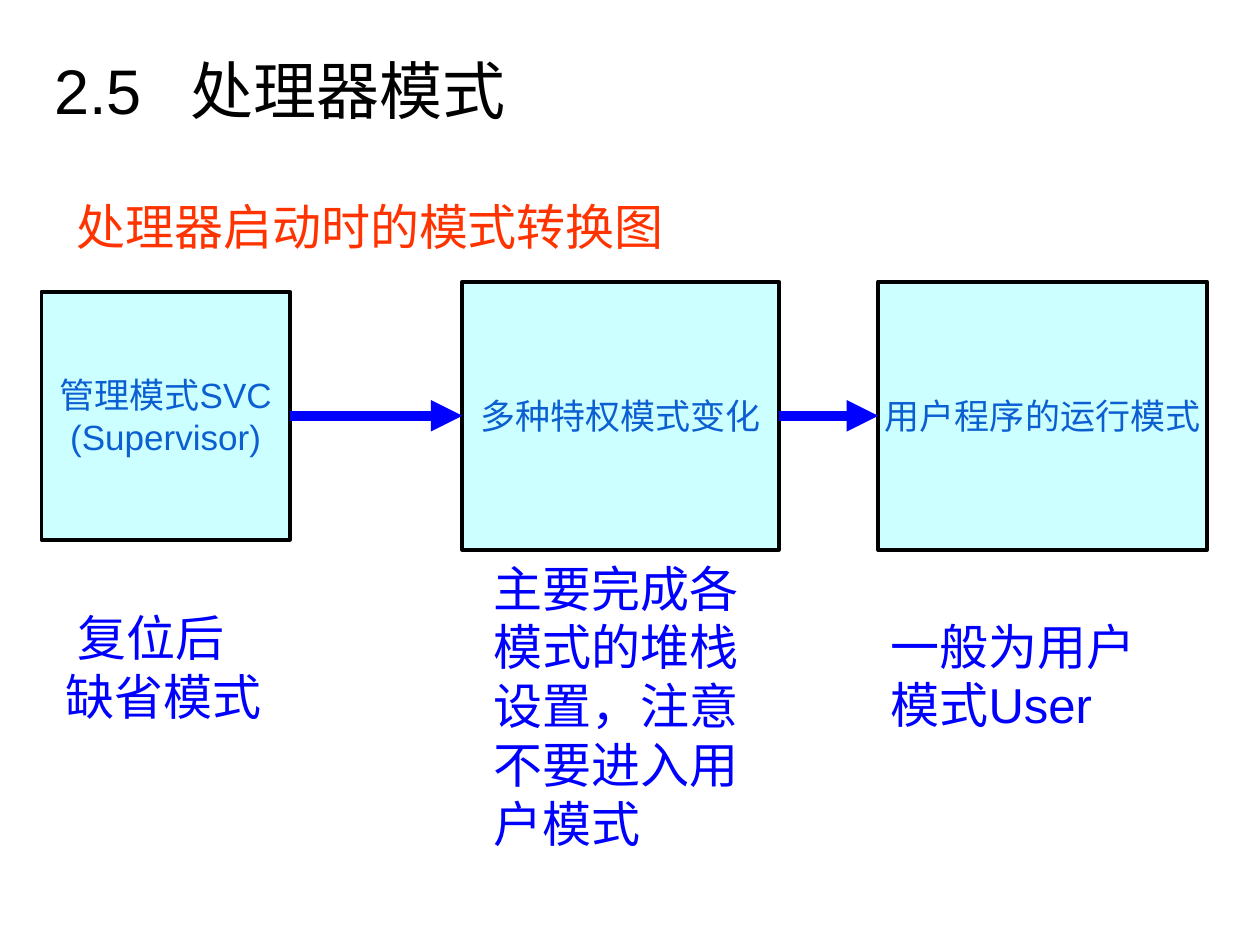
from dataclasses import dataclass

from lxml import etree
from pptx import Presentation
from pptx.dml.color import RGBColor
from pptx.enum.shapes import MSO_CONNECTOR, MSO_SHAPE
from pptx.enum.text import MSO_ANCHOR, MSO_AUTO_SIZE, PP_ALIGN
from pptx.oxml.ns import qn
from pptx.util import Inches, Pt

LEFT, CENTER = PP_ALIGN.LEFT, PP_ALIGN.CENTER
TOP, MIDDLE = MSO_ANCHOR.TOP, MSO_ANCHOR.MIDDLE
NO_AUTOFIT = MSO_AUTO_SIZE.NONE
RECT, STRAIGHT = MSO_SHAPE.RECTANGLE, MSO_CONNECTOR.STRAIGHT
SIDE_LEFT, SIDE_RIGHT = 1, 3
TITLE_ONLY = 5


@dataclass(frozen=True)
class Theme:
    font: str = "Arial"
    title: str = "000000"
    heading: str = "FF3300"
    box_fill: str = "CCFFFF"
    box_line: str = "000000"
    box_text: str = "0B5FD1"
    accent: str = "0000FF"
    title_size: int = 36
    body_size: int = 28
    box_size: int = 20
    box_width: float = 2.25
    arrow_width: float = 6


def rgb(value):
    return RGBColor.from_string(value)


def write(tf, text, *, font, size, color, align=LEFT, anchor=TOP,
          wrap=True, first_indent=0, tab=None):
    tf.auto_size = NO_AUTOFIT
    tf.word_wrap = wrap
    tf.vertical_anchor = anchor
    for i, line in enumerate(text.split("\n")):
        p = tf.paragraphs[0] if i == 0 else tf.add_paragraph()
        p.alignment = align
        pPr = p._p.get_or_add_pPr()
        if i == 0 and first_indent:
            pPr.set("indent", str(Inches(first_indent)))
        if tab:
            tabs = etree.SubElement(pPr, qn("a:tabLst"))
            etree.SubElement(tabs, qn("a:tab"), pos=str(Inches(tab)), algn="l")
        r = p.add_run()
        r.text = line
        r.font.name = font
        r.font.size = Pt(size)
        r.font.color.rgb = rgb(color)


class SlideBuilder:
    def __init__(self, slide, theme):
        self.s = slide
        self.theme = theme

    def title(self, text, x, y, w, h, tab):
        t = self.theme
        sp = self.s.shapes.title
        sp.left, sp.top = Inches(x), Inches(y)
        sp.width, sp.height = Inches(w), Inches(h)
        write(sp.text_frame, text, font=t.font, size=t.title_size,
              color=t.title, anchor=MIDDLE, tab=tab)

    def label(self, text, x, y, w, h, color, first_indent=0):
        t = self.theme
        sp = self.s.shapes.add_textbox(Inches(x), Inches(y), Inches(w), Inches(h))
        write(sp.text_frame, text, font=t.font, size=t.body_size,
              color=color, first_indent=first_indent)

    def box(self, text, x, center_y, w, h):
        t = self.theme
        sp = self.s.shapes.add_shape(
            RECT, Inches(x), Inches(center_y - h / 2), Inches(w), Inches(h))
        sp.shadow.inherit = False
        sp.fill.solid()
        sp.fill.fore_color.rgb = rgb(t.box_fill)
        sp.line.color.rgb = rgb(t.box_line)
        sp.line.width = Pt(t.box_width)
        write(sp.text_frame, text, font=t.font, size=t.box_size,
              color=t.box_text, align=CENTER, anchor=MIDDLE, wrap=False)
        return sp

    def arrow(self, source, target):
        t = self.theme
        c = self.s.shapes.add_connector(STRAIGHT, 0, 0, 0, 0)
        c.begin_connect(source, SIDE_RIGHT)
        c.end_connect(target, SIDE_LEFT)
        c.line.color.rgb = rgb(t.accent)
        c.line.width = Pt(t.arrow_width)
        etree.SubElement(c.line._get_or_add_ln(), qn("a:tailEnd"), type="triangle")
        etree.SubElement(c._element.spPr, qn("a:effectLst"))


def main():
    prs = Presentation()
    prs.slide_width, prs.slide_height = Inches(10), Inches(7.5)
    theme = Theme()
    slide = SlideBuilder(prs.slides.add_slide(prs.slide_layouts[TITLE_ONLY]), theme)

    slide.title("2.5\t处理器模式", 0.33, 0.25, 7.83, 0.92, tab=1.08)
    slide.label("处理器启动时的模式转换图", 0.51, 1.51, 7.64, 0.57, theme.heading)

    row_center = 3.3
    modes = [
        ("管理模式SVC\n(Supervisor)", 0.33, 1.97, 1.97),
        ("多种特权模式变化", 3.67, 2.51, 2.13),
        ("用户程序的运行模式", 6.97, 2.61, 2.13),
    ]
    boxes = [slide.box(text, x, row_center, w, h) for text, x, w, h in modes]

    slide.label("复位后\n缺省模式", 0.42, 4.77, 1.81, 1.04, theme.accent,
                first_indent=0.1)
    slide.label("主要完成各模式的堆栈设置，注意不要进入用户模式",
                3.82, 4.38, 2.21, 2.44, theme.accent)
    slide.label("一般为用户模式User", 6.97, 4.84, 2.52, 1.04, theme.accent)

    for source, target in zip(boxes, boxes[1:]):
        slide.arrow(source, target)

    prs.save("out.pptx")


if __name__ == "__main__":
    main()
